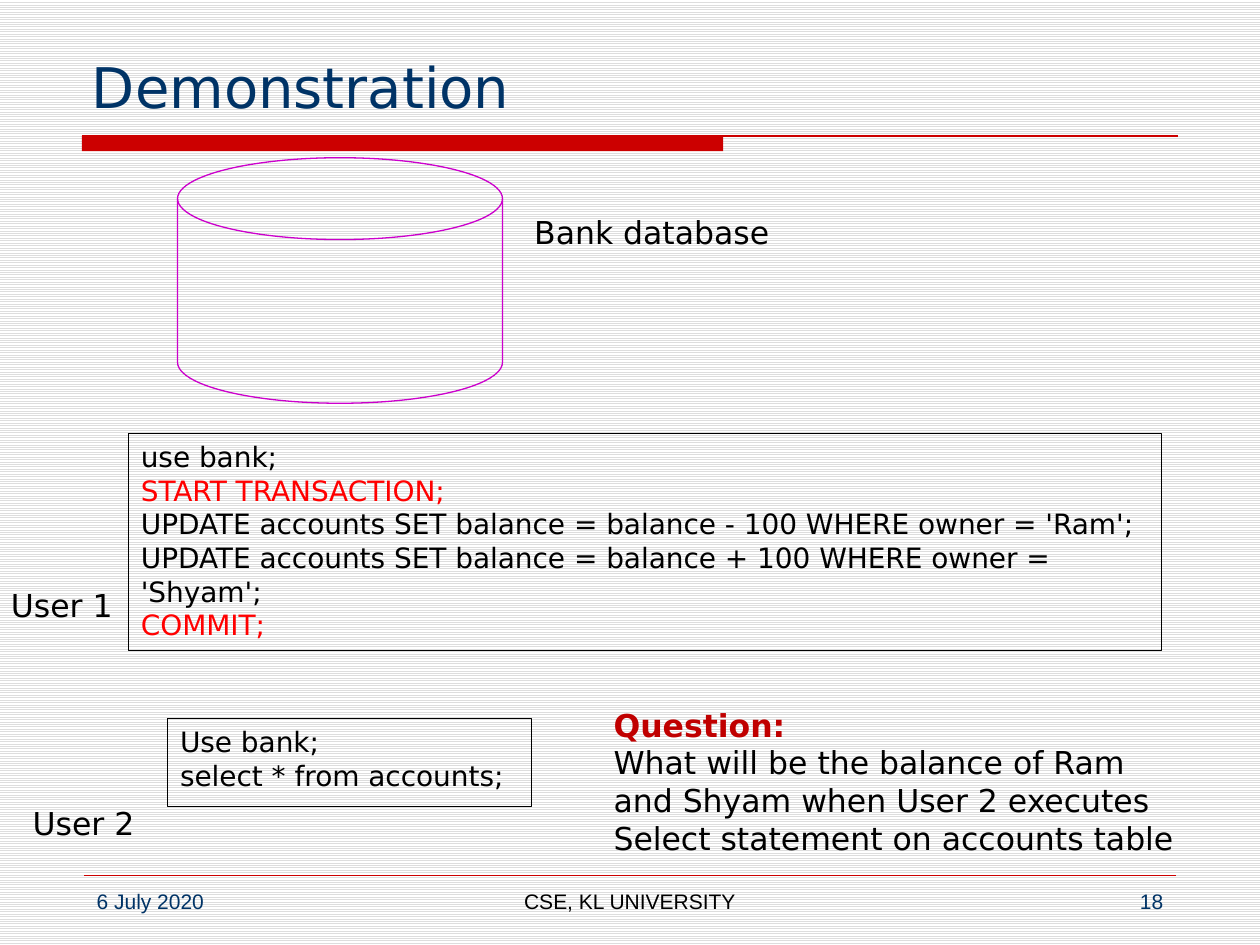
from pptx import Presentation
from pptx.dml.color import RGBColor
from pptx.enum.dml import MSO_PATTERN as Pat
from pptx.enum.shapes import MSO_CONNECTOR as Con, MSO_SHAPE as Kind
from pptx.enum.text import MSO_ANCHOR as Anchor, MSO_AUTO_SIZE as Fit, PP_ALIGN as Align
from pptx.oxml.ns import qn
from pptx.util import Cm, Pt
from lxml.etree import SubElement as Sub

NAVY = RGBColor(0x00, 0x33, 0x66)
BLACK = RGBColor(0x00, 0x00, 0x00)
WHITE = RGBColor(0xFF, 0xFF, 0xFF)
GREY = RGBColor(0xDD, 0xDD, 0xDD)
CRIMSON = RGBColor(0xCC, 0x00, 0x00)
RED = RGBColor(0xFF, 0x00, 0x00)
DARK = RGBColor(0xC0, 0x00, 0x00)
PURPLE = RGBColor(0xCC, 0x00, 0xCC)
SANS = "DejaVu Sans"


def write(frame, lines, size, face=SANS, align=Align.LEFT):
    for i, (text, color) in enumerate(lines):
        para = frame.add_paragraph() if i else frame.paragraphs[0]
        para.text = text
        para.alignment = align
        font = para.font
        font.name, font.size = face, Pt(size)
        font.color.rgb = color


def add_title(slide, text):
    title = slide.shapes.title
    title.left, title.top = Cm(1.6), Cm(0.43)
    title.width, title.height = Cm(22.23), Cm(2.11)
    frame = title.text_frame
    frame.auto_size = Fit.NONE
    frame.vertical_anchor = Anchor.BOTTOM
    write(frame, [(text, NAVY)], 32)


def add_form(slide, kind, box, line=None, fill=None):
    form = slide.shapes.add_shape(kind, *map(Cm, box))
    form.shadow.inherit = False
    if fill is None:
        form.fill.background()
    else:
        form.fill.solid()
        form.fill.fore_color.rgb = fill
    if line is None:
        form.line.fill.background()
    else:
        form.line.color.rgb = line
        form.line.width = Pt(0.75)
    return form


def add_code(slide, box, lines):
    frame = add_form(slide, Kind.RECTANGLE, box, BLACK).text_frame
    frame.word_wrap = True
    frame.vertical_anchor = Anchor.TOP
    write(frame, lines, 16)


def add_rule(slide, left, right, y, width):
    rule = slide.shapes.add_connector(Con.STRAIGHT, Cm(left), Cm(y), Cm(right), Cm(y))
    rule.line.color.rgb = CRIMSON
    rule.line.width = Pt(width)
    Sub(rule._element.spPr, qn("a:effectLst"))


def add_label(slide, box, lines):
    frame = slide.shapes.add_textbox(*map(Cm, box)).text_frame
    frame.word_wrap = False
    frame.auto_size = Fit.SHAPE_TO_FIT_TEXT
    write(frame, lines, 18)
    return frame


def add_foot(slide, left, width, text, color, align):
    frame = slide.shapes.add_textbox(Cm(left), Cm(17.78), Cm(width), Cm(0.89)).text_frame
    frame.word_wrap = True
    write(frame, [(text, color)], 12, "Arial", align)


def main():
    deck = Presentation()
    deck.slide_width, deck.slide_height = Cm(25.4), Cm(19.05)
    slide = deck.slides.add_slide(deck.slide_layouts[5])
    back = slide.background.fill
    back.patterned()
    back.pattern = Pat.LIGHT_HORIZONTAL
    back.fore_color.rgb = GREY
    back.back_color.rgb = WHITE

    add_form(slide, Kind.RECTANGLE, (1.65, 2.74, 12.93, 0.31), fill=CRIMSON)
    add_rule(slide, 1.65, 23.75, 2.74, 0.75)
    add_rule(slide, 1.7, 23.7, 17.65, 0.25)
    add_title(slide, "Demonstration")
    add_foot(slide, 1.7, 5.5, "6 July 2020", NAVY, Align.LEFT)
    add_foot(slide, 8.68, 8.04, "CSE, KL UNIVERSITY", BLACK, Align.CENTER)
    add_foot(slide, 18.2, 5.5, "18", NAVY, Align.RIGHT)

    add_label(slide, (-0.03, 11.68, 2.62, 1.02), [("User 1", BLACK)])
    add_code(slide, (2.59, 8.74, 20.83, 4.37), [
        ("use bank;", BLACK),
        ("START TRANSACTION;", RED),
        ("UPDATE accounts SET balance = balance - 100 WHERE owner = 'Ram';", BLACK),
        ("UPDATE accounts SET balance = balance + 100 WHERE owner = 'Shyam';", BLACK),
        ("COMMIT;", RED),
    ])
    add_form(slide, Kind.FLOWCHART_MAGNETIC_DISK, (3.58, 3.18, 6.55, 4.95), PURPLE)
    add_label(slide, (0.41, 16.08, 2.62, 1.02), [("User 2", BLACK)])
    add_code(slide, (3.38, 14.48, 7.34, 1.78), [
        ("Use bank;", BLACK),
        ("select * from accounts;", BLACK),
    ])
    add_label(slide, (10.52, 4.17, 5.26, 1.02), [("Bank database", BLACK)])
    quiz = add_label(slide, (12.12, 14.1, 11.89, 3.33), [
        ("Question:", DARK),
        ("What will be the balance of Ram", BLACK),
        ("and Shyam when User 2 executes", BLACK),
        ("Select statement on accounts table", BLACK),
    ])
    quiz.paragraphs[0].font.bold = True

    deck.save("out.pptx")


if __name__ == "__main__":
    main()
